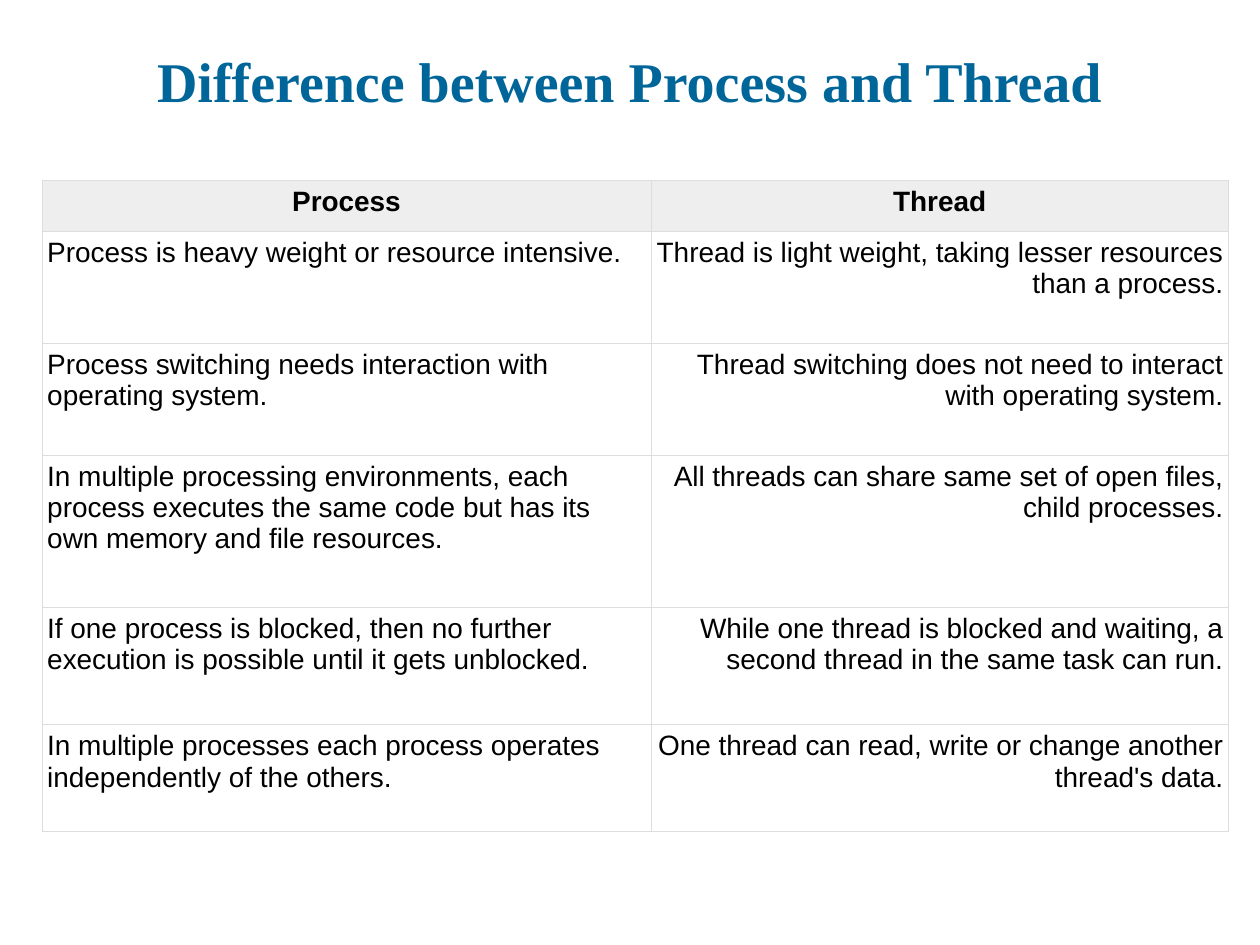
import pptx
import pptx.dml.color
import pptx.enum.text
import pptx.oxml
import pptx.oxml.ns
import pptx.util

Pt = pptx.util.Pt
ALIGN = pptx.enum.text.PP_ALIGN
ANCHOR = pptx.enum.text.MSO_ANCHOR

ROWS = [
    ("Process", "Thread"),
    ("Process is heavy weight or resource intensive.",
     "Thread is light weight, taking lesser resources than a process."),
    ("Process switching needs interaction with operating system.",
     "Thread switching does not need to interact with operating system."),
    ("In multiple processing environments, each process executes the same code "
     "but has its own memory and file resources.",
     "All threads can share same set of open files, child processes."),
    ("If one process is blocked, then no further execution is possible until it gets unblocked.",
     "While one thread is blocked and waiting, a second thread in the same task can run."),
    ("In multiple processes each process operates independently of the others.",
     "One thread can read, write or change another thread's data."),
]
COL_SHARES = [348, 330]
ROW_SHARES = [29, 64, 64, 87, 67, 61]


def color(value):
    """Return the colour for a hex string."""
    return pptx.dml.color.RGBColor.from_string(value)


def style(p, font, size, value, bold, align):
    """Set the font and alignment of a paragraph."""
    p.alignment = align
    p.font.name = font
    p.font.size = Pt(size)
    p.font.bold = bold
    p.font.color.rgb = color(value)


def add_borders(cell, value, width):
    """Draw a thin line on all four sides of a cell."""
    tc_pr = cell._tc.get_or_add_tcPr()
    for i, side in enumerate(("lnL", "lnR", "lnT", "lnB")):
        tc_pr.insert(i, pptx.oxml.parse_xml(
            f'<a:{side} {pptx.oxml.ns.nsdecls("a")} w="{int(Pt(width))}"><a:solidFill>'
            f'<a:srgbClr val="{value}"/></a:solidFill></a:{side}>'))


def add_title(s, x, y, w, h, text):
    """Place the centred slide title in the given box."""
    tf = s.shapes.add_textbox(Pt(x), Pt(y), Pt(w), Pt(h)).text_frame
    tf.word_wrap = True
    tf.vertical_anchor = ANCHOR.BOTTOM
    tf.margin_top = tf.margin_bottom = Pt(2)
    tf.text = text
    style(tf.paragraphs[0], "Times New Roman", 32, "006699", True, ALIGN.CENTER)


def add_comparison(s, x, y, w, h, rows):
    """Place the comparison table in the given box."""
    table = s.shapes.add_table(len(rows), len(COL_SHARES), Pt(x), Pt(y), Pt(w), Pt(h)).table
    table.horz_banding = False
    for col, share in zip(table.columns, COL_SHARES):
        col.width = Pt(w * share / sum(COL_SHARES))
    for row, share in zip(table.rows, ROW_SHARES):
        row.height = Pt(h * share / sum(ROW_SHARES))
    for i, texts in enumerate(rows):
        header = i == 0
        for j, text in enumerate(texts):
            cell = table.cell(i, j)
            cell.text = text
            cell.margin_left = cell.margin_right = Pt(3)
            cell.margin_top = cell.margin_bottom = Pt(3.6)
            if header:
                cell.fill.solid()
                cell.fill.fore_color.rgb = color("EEEEEE")
            else:
                cell.fill.background()
            add_borders(cell, "DDDDDD", 0.34)
            align = ALIGN.CENTER if header else (ALIGN.LEFT, ALIGN.RIGHT)[j]
            style(cell.text_frame.paragraphs[0], "Arial", 16, "000000", header, align)


def main():
    """Build and save the slide."""
    prs = pptx.Presentation()
    prs.slide_width, prs.slide_height = Pt(720), Pt(540)
    s = prs.slides.add_slide(prs.slide_layouts[6])
    add_title(s, 36, 21.6, 648, 45.4, "Difference between Process and Thread")
    add_comparison(s, 24, 103, 678, 372, ROWS)
    prs.save("out.pptx")


main()
